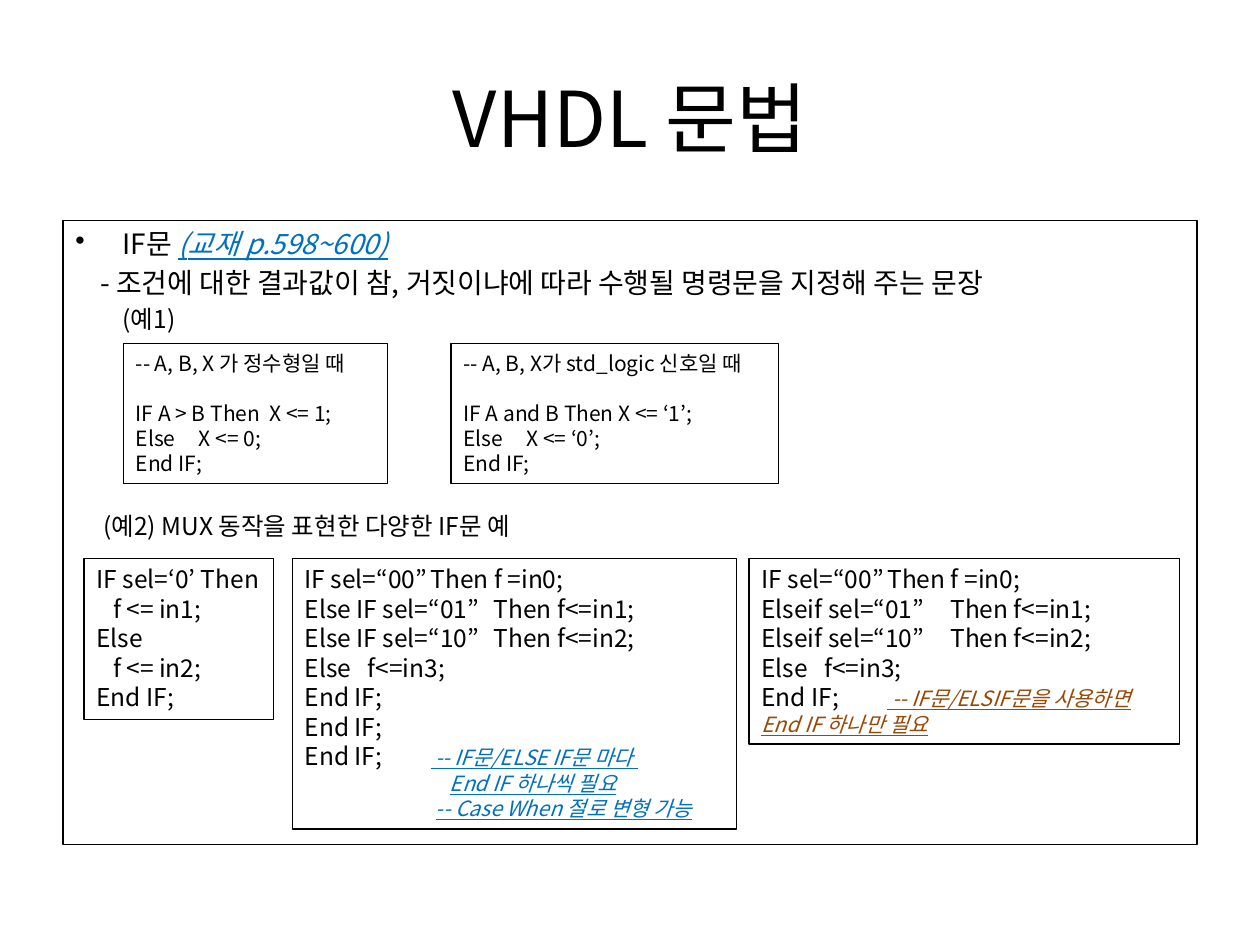
from pptx import Presentation
from pptx.dml.color import RGBColor
from pptx.enum.shapes import MSO_SHAPE
from pptx.enum.text import MSO_ANCHOR, PP_ALIGN
from pptx.oxml.ns import qn
from pptx.util import Pt
from lxml.etree import SubElement

FONT = "Noto Sans CJK KR"
BLACK = RGBColor(0x00, 0x00, 0x00)
BLUE = RGBColor(0x00, 0x70, 0xC0)
BROWN = RGBColor(0x98, 0x48, 0x07)

TITLE = "VHDL 문법"
THEN_TAB, RESULT_TAB, NOTE_TAB = 144, 169, 72


def line(*runs, **layout):
    """Describe a paragraph: runs are text or (text, note colour)."""
    return runs, layout


def branch(condition, result):
    """Describe one condition with its result in the Then column."""
    return line(f"{condition}\tThen {result}", tab=THEN_TAB)


def example(heading, condition, otherwise, tab):
    """Describe a short commented If/Else example."""
    return [line(heading, after=14.4), line(condition),
            line(f"Else\t{otherwise}", tab=tab), line("End IF;")]


OTHERWISE = line("Else\tf<=in3;", tab=RESULT_TAB)
END = line("End IF;")

OVERVIEW = [
    line("IF문 ", ("(교재 p.598~600)", BLUE), size=16, margin=27, bullet="•", before=3.2),
    line("- 조건에 대한 결과값이 참, 거짓이냐에 따라 수행될 명령문을 지정해 주는 문장",
         size=16, margin=14.3, before=3.2),
    line("(예1)", margin=27, before=2.8),
    line("(예2) MUX 동작을 표현한 다양한 IF문 예", margin=16, before=101),
]
INTEGER_CASE = example("-- A, B, X 가 정수형일 때", "IF A > B Then  X <= 1;",
                       "X <= 0;", 63)
SIGNAL_CASE = example("-- A, B, X가 std_logic 신호일 때", "IF A and B Then X <= ‘1’;",
                      "X <= ‘0’;", 68.5)
TWO_WAY = [line("IF sel=‘0’ Then"), line("f <= in1;", margin=9.5), line("Else"),
           line("f <= in2;", margin=9.5), END]
NESTED = [
    branch("IF sel=“00”", "f =in0;"),
    branch("Else IF sel=“01”", "f<=in1;"),
    branch("Else IF sel=“10”", "f<=in2;"),
    OTHERWISE, END, END,
    line("End IF;\t", (" -- IF문/ELSE IF문 마다 ", BLUE), tab=NOTE_TAB),
    line(("End IF 하나씩 필요", BLUE), margin=83),
    line(("-- Case When 절로 변형 가능", BLUE), margin=75),
]
CHAINED = [
    branch("IF sel=“00”", "f =in0;"),
    branch("Elseif sel=“01”", "f<=in1;"),
    branch("Elseif sel=“10”", "f<=in2;"),
    OTHERWISE,
    line("End IF;\t", (" -- IF문/ELSIF문을 사용하면", BROWN), tab=NOTE_TAB),
    line(("End IF 하나만 필요", BROWN)),
]

EXAMPLE_TOP, MUX_TOP = 196.5, 319
# paragraphs, left, top, width, height, text size, note size
BOXES = [
    (OVERVIEW, 36, 126, 648, 356.5, 14, 16),
    (INTEGER_CASE, 70.5, EXAMPLE_TOP, 151, 80, 12, 12),
    (SIGNAL_CASE, 257.75, EXAMPLE_TOP, 187.25, 80, 12, 12),
    (TWO_WAY, 48, MUX_TOP, 108.25, 92, 14, 12),
    (NESTED, 167, MUX_TOP, 254, 154.75, 14, 12),
    (CHAINED, 428, MUX_TOP, 246, 106.25, 14, 12),
]


def add_run(paragraph, text, size, color=BLACK, note=False):
    """Add one run; notes are italic and underlined."""
    run = paragraph.add_run()
    run.text = text
    font = run.font
    font.name, font.size = FONT, Pt(size)
    font.color.rgb = color
    if note:
        font.italic = font.underline = True
    SubElement(font._element, qn("a:ea")).set("typeface", FONT)


def lay_out(paragraph, margin=0, bullet=None, before=0, after=0, tab=None):
    """Set spacing, indent, bullet and tab stop of a paragraph."""
    paragraph.alignment = PP_ALIGN.LEFT
    paragraph.space_before, paragraph.space_after = Pt(before), Pt(after)
    props = paragraph._p.get_or_add_pPr()
    props.set("marL", str(Pt(margin)))
    props.set("indent", str(Pt(-margin if bullet else 0)))
    if bullet:
        SubElement(props, qn("a:buChar")).set("char", bullet)
    if tab:
        stop = SubElement(SubElement(props, qn("a:tabLst")), qn("a:tab"))
        stop.set("pos", str(Pt(tab)))
        stop.set("algn", "l")


def add_box(slide, paragraphs, left, top, width, height, text_size, note_size):
    """Add an outlined rectangle holding the paragraphs."""
    box = slide.shapes.add_shape(MSO_SHAPE.RECTANGLE, Pt(left), Pt(top), Pt(width), Pt(height))
    box.shadow.inherit = False
    box.fill.background()
    box.line.color.rgb = BLACK
    box.line.width = Pt(0.75)
    frame = box.text_frame
    frame.word_wrap = True
    frame.vertical_anchor = MSO_ANCHOR.TOP
    frame.margin_right = 0
    for index, (runs, layout) in enumerate(paragraphs):
        paragraph = frame.add_paragraph() if index else frame.paragraphs[0]
        layout = dict(layout)
        size = layout.pop("size", text_size)
        lay_out(paragraph, **layout)
        for run in runs:
            if isinstance(run, tuple):
                add_run(paragraph, run[0], note_size, run[1], note=True)
            else:
                add_run(paragraph, run, size)


deck = Presentation()
deck.slide_width, deck.slide_height = Pt(720), Pt(540)
slide = deck.slides.add_slide(deck.slide_layouts[5])

title = slide.shapes.title
title.left, title.top, title.width, title.height = Pt(36), Pt(21.6), Pt(648), Pt(90)
title.text_frame.vertical_anchor = MSO_ANCHOR.MIDDLE
heading = title.text_frame.paragraphs[0]
heading.alignment = PP_ALIGN.CENTER
add_run(heading, TITLE, 44)

for box in BOXES:
    add_box(slide, *box)

deck.save("out.pptx")
